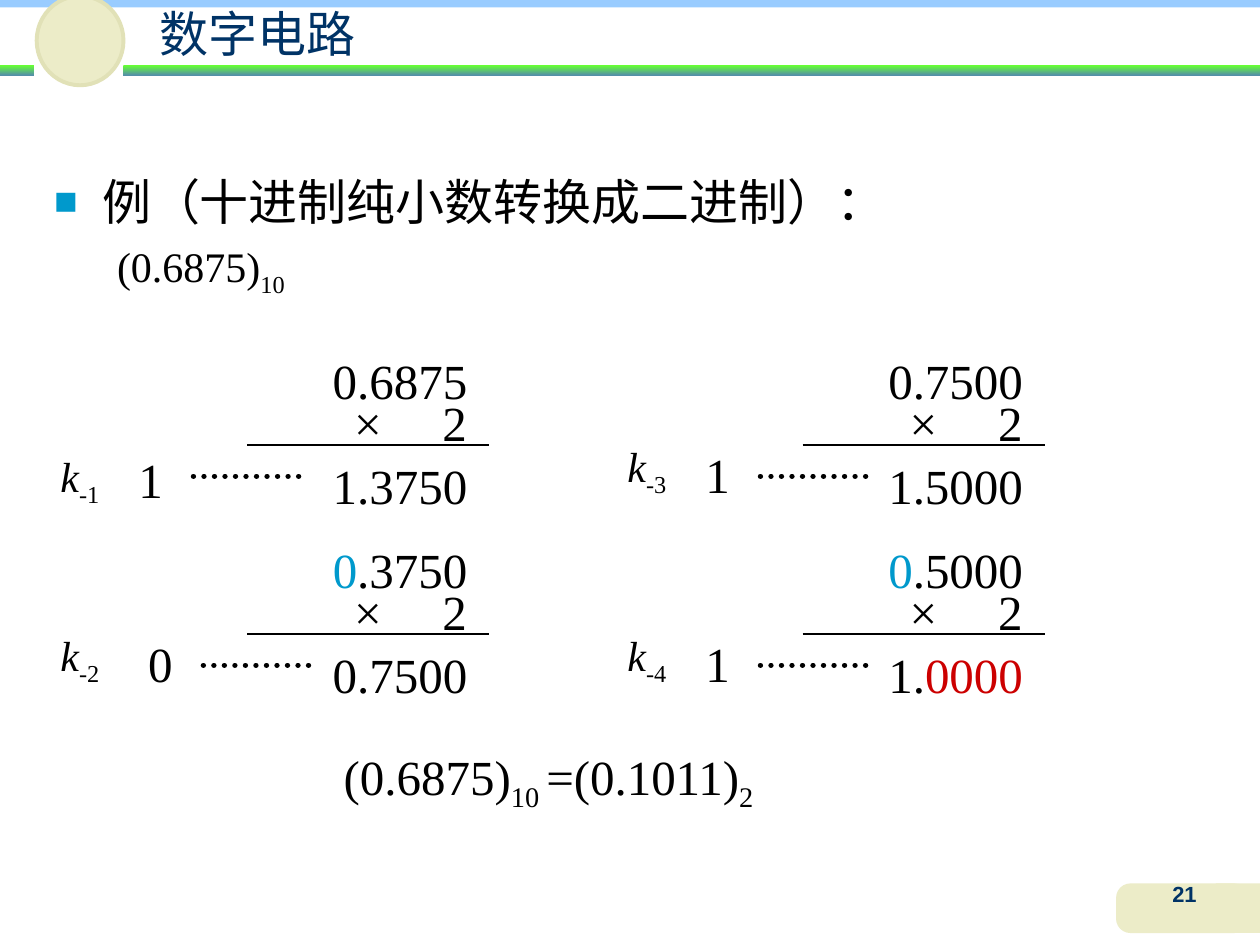
from lxml.etree import SubElement
from pptx import Presentation
from pptx.dml.color import RGBColor
from pptx.enum.dml import MSO_LINE
from pptx.enum.shapes import MSO_CONNECTOR, MSO_SHAPE
from pptx.enum.text import PP_ALIGN
from pptx.oxml.ns import qn
from pptx.util import Cm, Pt

SERIF = "Times New Roman"
BLACK, NAVY, BLUE, RED, SAND = "000000", "003366", "0099CC", "CC0000", "ECECC8"
NO_INSET = (0, 0, 0, 0)
INSET = (0.25, 0.13, 0.25, 0.13)


def write_runs(paragraph, runs, size, color=BLACK, name=SERIF):
    """Add (text, changes) runs; changes may hold color, sub and font attributes."""
    for text, changes in runs:
        run = paragraph.add_run()
        run.text = text
        style = {"name": name, "size": Pt(size), "color": color, "sub": False} | changes
        run.font.color.rgb = RGBColor.from_string(style.pop("color"))
        if style.pop("sub"):
            run._r.get_or_add_rPr().set("baseline", "-25000")
        for attribute, value in style.items():
            setattr(run.font, attribute, value)


def add_text(box, runs, size=28, align=PP_ALIGN.RIGHT, inset=NO_INSET, **style):
    """Place a one-paragraph text box; box and inset are in centimetres."""
    frame = slide.shapes.add_textbox(*map(Cm, box)).text_frame
    frame.word_wrap = True
    for side, margin in zip(("left", "top", "right", "bottom"), inset):
        setattr(frame, f"margin_{side}", Cm(margin))
    paragraph = frame.paragraphs[0]
    paragraph.alignment = align
    write_runs(paragraph, runs, size, **style)
    return frame


prs = Presentation()
prs.slide_width, prs.slide_height = Cm(25.4), Cm(19.05)
slide = prs.slides.add_slide(prs.slide_layouts[6])

# Header and footer decoration; no colour means the green gradient
for kind, box, color in (
    (MSO_SHAPE.RECTANGLE, (2.49, 1.32, 22.91, 0.2), None),
    (MSO_SHAPE.RECTANGLE, (0, 1.32, 0.69, 0.2), None),
    (MSO_SHAPE.RECTANGLE, (24.51, 17.81, 0.89, 1), SAND),
    (MSO_SHAPE.ROUNDED_RECTANGLE, (22.5, 17.81, 2.67, 1), SAND),
    (MSO_SHAPE.RECTANGLE, (0, -0.05, 25.4, 0.2), "99CCFF"),
    (MSO_SHAPE.OVAL, (0.74, -0.08, 1.75, 1.8), SAND),
):
    decoration = slide.shapes.add_shape(kind, *map(Cm, box))
    decoration.shadow.inherit = False
    decoration.line.fill.background()
    if color:
        decoration.fill.solid()
        decoration.fill.fore_color.rgb = RGBColor.from_string(color)
    else:
        decoration.fill.gradient()
        decoration.fill.gradient_angle = 270
        stops = zip(decoration.fill.gradient_stops, (0, 1), ("66FF33", "5490A8"))
        for stop, position, stop_color in stops:
            stop.position = position
            stop.color.rgb = RGBColor.from_string(stop_color)
    if kind == MSO_SHAPE.ROUNDED_RECTANGLE:
        decoration.adjustments[0] = 0.29
    if kind == MSO_SHAPE.OVAL:
        decoration.line.color.rgb = RGBColor.from_string("E1E1B7")
        decoration.line.width = Pt(2.25)

add_text((2.49, 0.08, 5.41, 1.07), [("数字电路", {})], align=PP_ALIGN.CENTER,
         inset=(0.05, 0, 0.05, 0), color=NAVY, name="Arial")
page_number = add_text((22.71, 17.73, 2.34, 0.84), [("21", {"bold": True})], 12.5,
                       PP_ALIGN.CENTER, INSET, color=NAVY, name="Arial")
page_number.paragraphs[0].line_spacing = 0.8

# Example heading and the number to convert
example = add_text((0.84, 3.33, 24, 3.18), [("例（十进制纯小数转换成二进制）：", {})],
                   align=PP_ALIGN.LEFT, inset=INSET, name="Cabin")
heading = example.paragraphs[0]._p.get_or_add_pPr()
heading.set("marL", str(Cm(0.97)))
heading.set("indent", str(Cm(-0.97)))
SubElement(SubElement(heading, qn("a:buClr")), qn("a:srgbClr")).set("val", BLUE)
SubElement(heading, qn("a:buSzPct")).set("val", "80000")
SubElement(heading, qn("a:buFont")).set("typeface", "Arial")
SubElement(heading, qn("a:buChar")).set("char", "■")

decimal = example.add_paragraph()
decimal.level = 1
decimal.space_before = Pt(6)
indents = decimal._p.get_or_add_pPr()
indents.set("marL", str(Cm(2.06)))
indents.set("indent", str(Cm(-0.79)))
SubElement(indents, qn("a:buNone"))
write_runs(decimal, [("(0.6875)", {}), ("10", {"sub": True})], 24)

# Four doubling steps, down the left column and then the right:
# factor, product, digit, shift of the digit group, drop of the digit and of k
steps = (
    ([("0.6875", {})], [("1.3750", {})], "1", 0, 0.1, 0.2),
    ([("0", {"color": BLUE}), (".3750", {})], [("0.7500", {})], "0", 0.2, 0, 0),
    ([("0.7500", {})], [("1.5000", {})], "1", 0, 0, 0),
    ([("0", {"color": BLUE}), (".5000", {})],
     [("1.", {}), ("0000", {"color": RED})], "1", 0, 0, 0),
)
for index, (factor, product, digit, shift, digit_drop, k_drop) in enumerate(steps):
    column, row = divmod(index, 2)
    sum_x, digit_x, y = 11.2 * column, 11.43 * column, 3.81 * row

    add_text((5.41 + sum_x, 7.06 + y, 4.01, 1.19), factor)
    times_two = add_text((6.68 + sum_x, 7.92 + y, 2.74, 1.19), [("×\t2", {})],
                         align=PP_ALIGN.LEFT, inset=(0.46, 0, 0, 0))
    tabs = SubElement(times_two.paragraphs[0]._p.get_or_add_pPr(), qn("a:tabLst"))
    tab = SubElement(tabs, qn("a:tab"))
    tab.set("pos", str(Cm(1.78)))
    tab.set("algn", "l")
    add_text((5.41 + sum_x, 9.19 + y, 4.01, 1.19), product)

    dots_x = digit_x + shift
    for start, end, line_y, width in (
        (4.98 + sum_x, 9.86 + sum_x, 8.97 + y, 0.75),
        (6.02 + dots_x, 3.71 + dots_x, 9.6 + y, 3),
    ):
        rule = slide.shapes.add_connector(
            MSO_CONNECTOR.STRAIGHT, Cm(start), Cm(line_y), Cm(end), Cm(line_y))
        rule.line.color.rgb = RGBColor.from_string(BLACK)
        rule.line.width = Pt(width)
        if width == 3:
            rule.line.dash_style = MSO_LINE.ROUND_DOT
            rule.element.spPr.find(qn("a:ln")).set("cap", "rnd")
        SubElement(rule.element.spPr, qn("a:effectLst"))

    add_text((2.44 + dots_x, 8.97 + digit_drop + y, 0.84, 1.19), [(digit, {})])
    add_text((0.97 + digit_x, 8.76 + k_drop + y, 1.47, 1.42),
             [("k", {"italic": True}), (f"-{index + 1}", {"sub": True})],
             24, PP_ALIGN.LEFT, INSET)

add_text((6.68, 14.91, 9.96, 1.6),
         [("(0.6875)", {}), ("10 ", {"sub": True}), ("=(0.1011)", {}), ("2", {"sub": True})],
         align=PP_ALIGN.LEFT, inset=INSET)

prs.save("out.pptx")
